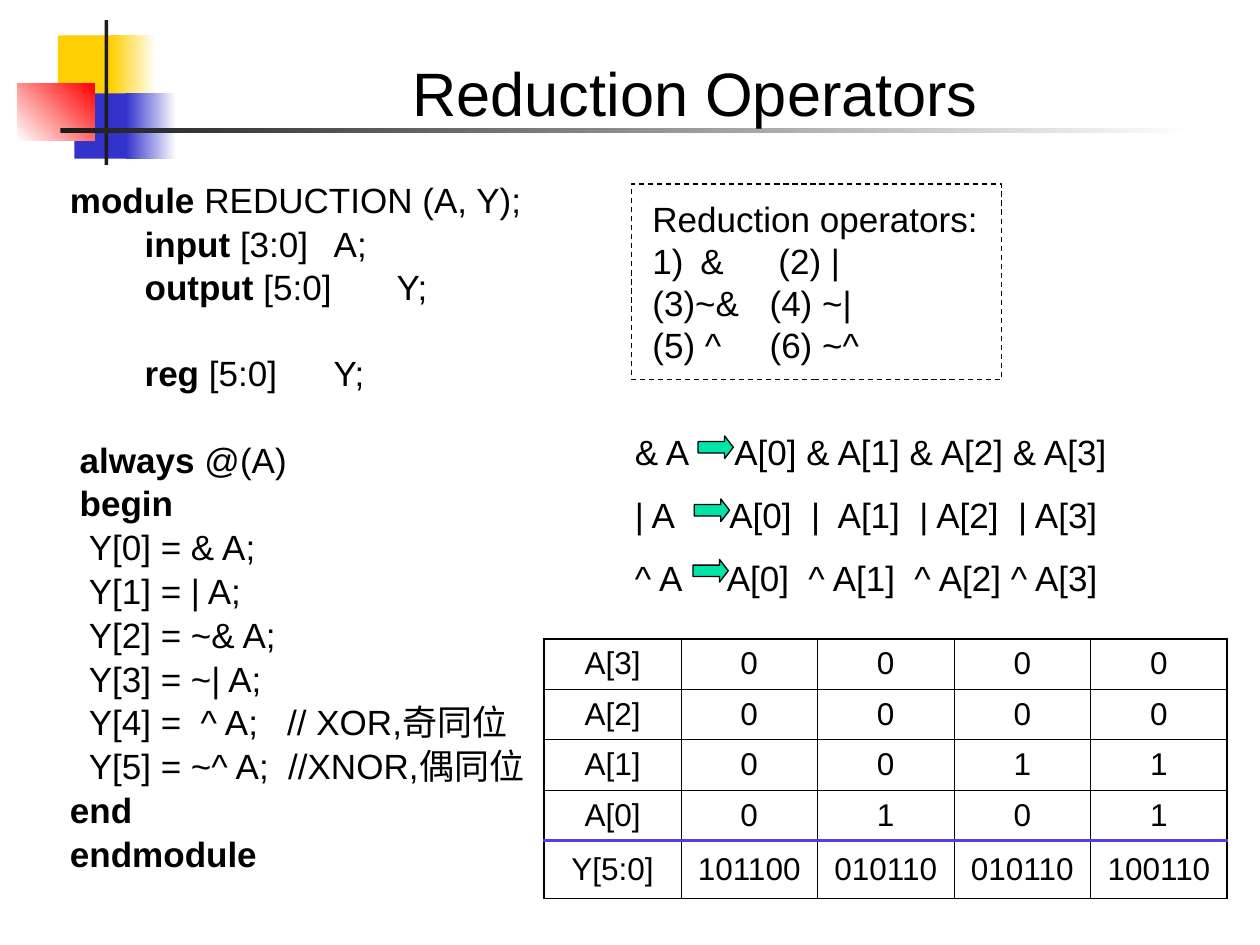
from dataclasses import dataclass

from lxml.etree import SubElement
from pptx import Presentation
from pptx.dml.color import RGBColor
from pptx.enum.dml import MSO_LINE
from pptx.enum.shapes import MSO_SHAPE as SHAPE
from pptx.enum.text import MSO_ANCHOR as ANCHOR, PP_ALIGN as ALIGN
from pptx.oxml.ns import qn
from pptx.util import Inches, Pt


@dataclass(frozen=True)
class Theme:
    font: str = "Arial"
    title: int = 35
    body: int = 20
    cell: int = 18
    ink: str = "000000"
    paper: str = "FFFFFF"
    bar: str = "1C1C1C"
    yellow: str = "FFCF01"
    blue: str = "3333CC"
    red: str = "FF0000"
    arrow: str = "00E4A8"
    divider: str = "593CE8"
    thin: float = 0.45
    thick: float = 1.08
    rule: float = 1.47


T = Theme()

CODE_BLOCKS = [
    [" *module* REDUCTION (A, Y);", "\t*input* [3:0]\tA;", "\t*output* [5:0] \tY;"],
    ["\t*reg* [5:0]\tY;"],
    ["  *always* @(A)", "  *begin*", "   Y[0] = & A;", "   Y[1] = | A;",
     "   Y[2] = ~& A;", "   Y[3] = ~| A;", "   Y[4] =  ^ A;   // XOR,奇同位",
     "   Y[5] = ~^ A;  //XNOR,偶同位", " *end*", " *endmodule*"],
]
EXPANSIONS = [  # text, tab stop of the expansion, place of the arrow
    ("& A\tA[0] & A[1] & A[2] & A[3]", 0.79, (5.54, 3.46)),
    ("| A\tA[0]  |  A[1]  | A[2]  | A[3]", 0.75, (5.51, 3.96)),
    ("^ A\tA[0]  ^ A[1]  ^ A[2] ^ A[3]", 0.73, (5.5, 4.44)),
]
TRUTH_ROWS = [
    ["A[3]", "0", "0", "0", "0"],
    ["A[2]", "0", "0", "0", "0"],
    ["A[1]", "0", "0", "1", "1"],
    ["A[0]", "0", "1", "0", "1"],
    ["Y[5:0]", "101100", "010110", "010110", "100110"],
]


def rgb(color):
    return RGBColor.from_string(color)


def box(at):
    return [Inches(v) for v in at]


def add_text(tf, text, size=T.body, align=ALIGN.LEFT, spacing=None, before=0,
             indent=0, hanging=False, number=None, tabs=()):
    """Add one paragraph; parts between asterisks are bold."""
    first = not tf.paragraphs[0].runs
    p = tf.paragraphs[0] if first else tf.add_paragraph()
    pPr = p._p.get_or_add_pPr()
    if indent:
        pPr.set("marL", str(Inches(indent)))
        pPr.set("indent", str(-Inches(indent) if hanging else 0))
    if number:
        SubElement(pPr, qn("a:buAutoNum"), type=number)
    if tabs:
        stops = SubElement(pPr, qn("a:tabLst"))
        for pos in tabs:
            SubElement(stops, qn("a:tab"), pos=str(Inches(pos)), algn="l")
    p.alignment = align
    if spacing:
        p.line_spacing = spacing
    if before and not first:
        p.space_before = Pt(before)
    for i, part in enumerate(text.split("*")):
        if part:
            r = p.add_run()
            r.text = part
            r.font.name, r.font.size, r.font.bold = T.font, Pt(size), i % 2 == 1
            r.font.color.rgb = rgb(T.ink)


def add_frame(s, at):
    tf = s.shapes.add_textbox(*box(at)).text_frame
    tf.word_wrap = True
    return tf


def add_block(s, at, fill, fade_to=None, angle=0, kind=SHAPE.RECTANGLE, outlined=False):
    """Add a preset shape, plain or fading to a second colour (clockwise angle)."""
    sp = s.shapes.add_shape(kind, *box(at))
    sp.shadow.inherit = False
    if fade_to:
        sp.fill.gradient()
        sp.fill.gradient_angle = -angle % 360
        for stop, color in zip(sp.fill.gradient_stops, (fill, fade_to)):
            stop.color.rgb = rgb(color)
    else:
        sp.fill.solid()
        sp.fill.fore_color.rgb = rgb(fill)
    if outlined:
        sp.line.color.rgb = rgb(T.ink)
        sp.line.width = Pt(0.75)
    else:
        sp.line.fill.background()
    return sp


def add_decoration(s):
    add_block(s, (0.46, 0.28, 0.48, 0.52), T.yellow)
    add_block(s, (0.88, 0.28, 0.36, 0.52), T.yellow, T.paper)
    add_block(s, (0.59, 0.74, 0.46, 0.52), T.blue)
    add_block(s, (1, 0.74, 0.4, 0.52), T.blue, T.paper)
    add_block(s, (0.14, 0.66, 0.61, 0.46), T.paper, T.red, 315)
    add_block(s, (0.83, 0.16, 0.03, 1.15), T.bar)
    add_block(s, (0.48, 1.02, 9, 0.04), T.bar, T.paper)


def set_title(s, text):
    title = s.shapes.title
    s.shapes.element.append(title.element)  # in front of the decoration
    title.left, title.top, title.width, title.height = box((1.26, 0.23, 8.52, 0.84))
    title.text_frame.vertical_anchor = ANCHOR.BOTTOM
    add_text(title.text_frame, text, size=T.title, align=ALIGN.CENTER)


def add_code(s):
    tf = add_frame(s, (0.38, 1.43, 6, 5.58))
    line_gap, block_gap = 5.8, 30
    for block in CODE_BLOCKS:
        for i, line in enumerate(block):
            add_text(tf, line, spacing=0.8, before=line_gap if i else block_gap,
                     indent=0.67, hanging=True, tabs=range(8))


def add_operator_box(s):
    frame = add_block(s, (5.01, 1.46, 2.94, 1.55), T.paper, outlined=True)
    frame.line.dash_style = MSO_LINE.DASH
    tf = add_frame(s, (5.08, 1.52, 5, 1.44))
    indent, column = 0.38, 0.93
    add_text(tf, "Reduction operators:")
    add_text(tf, "&\t(2) |", indent=indent, hanging=True,
             number="arabicParenR", tabs=[column - indent])
    for line in ("(3)~&\t(4) ~|", "(5) ^\t(6) ~^"):
        add_text(tf, line, tabs=[column])


def add_expansions(s):
    tf = add_frame(s, (4.94, 3.2, 4.03, 2.1))
    for text, stop, place in EXPANSIONS:
        add_text(tf, text, spacing=1.5, tabs=[stop])
        arrow = add_block(s, (*place, 0.28, 0.18), T.arrow,
                          kind=SHAPE.RIGHT_ARROW, outlined=True)
        arrow.adjustments[1] = 0.385


def set_border(cell, side, color, width):
    ln = SubElement(cell._tc.get_or_add_tcPr(), qn(f"a:ln{side}"), w=str(Pt(width)))
    SubElement(SubElement(ln, qn("a:solidFill")), qn("a:srgbClr"), val=color)


def add_truth_table(s):
    n_rows, n_cols = len(TRUTH_ROWS), len(TRUTH_ROWS[0])
    table = s.shapes.add_table(n_rows, n_cols, *box((4.32, 5.07, 5.42, 2.06))).table
    for col in table.columns:
        col.width = Inches(5.42 / n_cols)
    for r, values in enumerate(TRUTH_ROWS):
        last_row = r == n_rows - 1
        table.rows[r].height = Inches(0.46 if last_row else 0.4)
        for c, value in enumerate(values):
            cell = table.cell(r, c)
            cell.vertical_anchor = ANCHOR.MIDDLE
            add_text(cell.text_frame, value, size=T.cell, align=ALIGN.CENTER)
            outer = {"L": c == 0, "R": c == n_cols - 1, "T": r == 0, "B": last_row}
            divided = {"T": last_row, "B": r == n_rows - 2}
            for side, is_outer in outer.items():
                if divided.get(side):
                    set_border(cell, side, T.divider, T.rule)
                else:
                    set_border(cell, side, T.ink, T.thick if is_outer else T.thin)
            cell.fill.background()


def main():
    prs = Presentation()
    prs.slide_width, prs.slide_height = Inches(10), Inches(7.5)
    s = prs.slides.add_slide(prs.slide_layouts[5])
    add_decoration(s)
    set_title(s, "Reduction Operators")
    add_code(s)
    add_operator_box(s)
    add_truth_table(s)
    add_expansions(s)
    prs.save("out.pptx")


if __name__ == "__main__":
    main()
